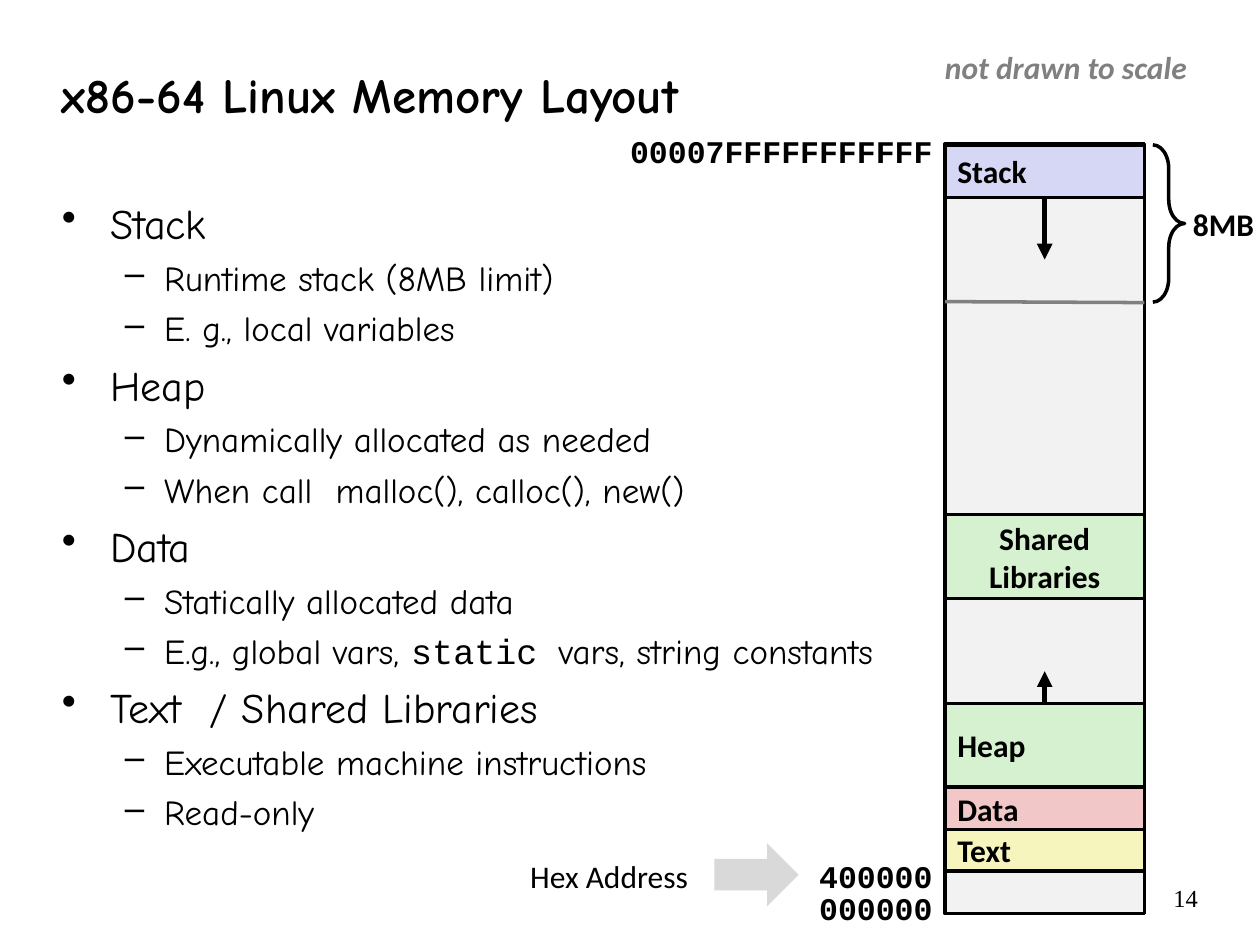
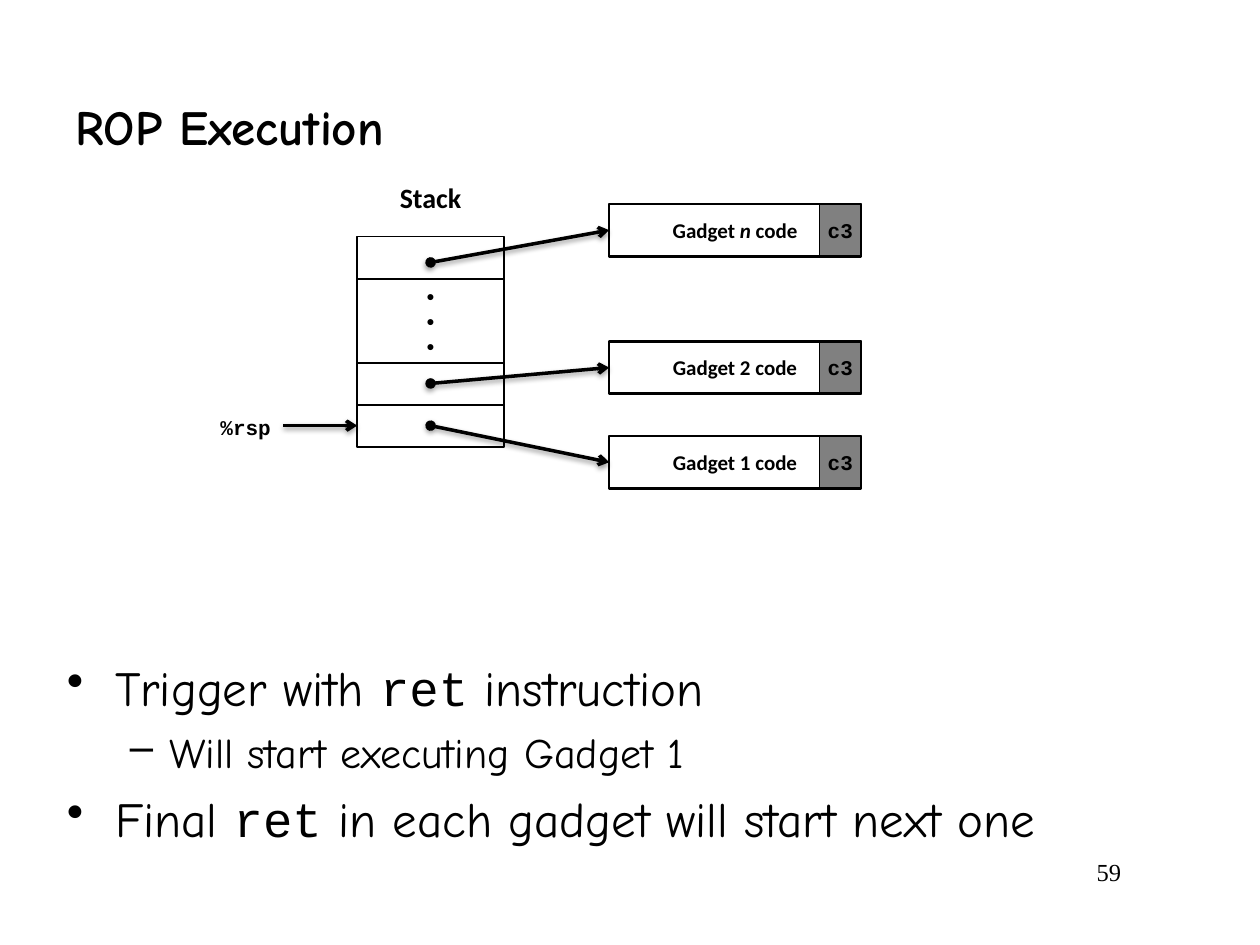
from lxml.etree import SubElement as Sub
from pptx import Presentation
from pptx.dml.color import RGBColor as Rgb
from pptx.enum.shapes import MSO_CONNECTOR as Link, MSO_SHAPE as Form
from pptx.enum.text import MSO_ANCHOR as Anchor, PP_ALIGN as Align
from pptx.oxml.ns import qn
from pptx.util import Cm, Pt

BLACK = Rgb(0x00, 0x00, 0x00)
GRAY = Rgb(0x80, 0x80, 0x80)
SILVER = Rgb(0xD9, 0xD9, 0xD9)
PALE = Rgb(0xF2, 0xF2, 0xF2)
LILAC = Rgb(0xD6, 0xD6, 0xF5)
GREEN = Rgb(0xD5, 0xF1, 0xCF)
PINK = Rgb(0xF1, 0xC7, 0xC7)
YELLOW = Rgb(0xF6, 0xF5, 0xBD)

HAND = "Comic Neue"
SANS = "Calibri"
MONO = "Courier New"
LEVELS = {"•": (0.97, 0.97), "–": (2.06, 0.79)}


def write(para, text, size=18, font=SANS, color=BLACK, bold=False,
          italic=False, align=Align.LEFT, code=None, slant=False):
    para.alignment = align
    for pos, part in enumerate(text.split("`")):
        if not part:
            continue
        mark = pos % 2 == 1
        run = para.add_run()
        run.text = part
        face = run.font
        face.name = code if mark and code else font
        face.size = Pt(size)
        face.bold = bold
        face.italic = italic or (mark and slant)
        face.color.rgb = color


def add_bullet(para, sign):
    left, hang = LEVELS[sign]
    props = para._p.get_or_add_pPr()
    props.set("marL", str(Cm(left)))
    props.set("indent", str(-Cm(hang)))
    Sub(props, qn("a:buChar")).set("char", sign)


class Deck:
    def __init__(self):
        self.prs = Presentation()
        self.prs.slide_width = Cm(25.4)
        self.prs.slide_height = Cm(19.05)
        self.slide = None

    def start(self, title, area, number, corner):
        self.slide = self.prs.slides.add_slide(self.prs.slide_layouts[6])
        self.text(title, *area, anchor=Anchor.MIDDLE, size=28, font=HAND,
                  bold=True)
        self.text(number, *corner, 3.6, 1.27, size=14,
                  font="Times New Roman", align=Align.RIGHT)

    def fill_frame(self, frame, text, anchor, wrap=True, **style):
        frame.word_wrap = wrap
        frame.vertical_anchor = anchor
        for pos, line in enumerate(text.split("\n")):
            para = frame.add_paragraph() if pos else frame.paragraphs[0]
            write(para, line, **style)

    def text(self, text, x, y, w, h, anchor=Anchor.TOP, **style):
        box = self.slide.shapes.add_textbox(Cm(x), Cm(y), Cm(w), Cm(h))
        self.fill_frame(box.text_frame, text, anchor, **style)

    def points(self, items, x, y, w, h, sizes):
        box = self.slide.shapes.add_textbox(Cm(x), Cm(y), Cm(w), Cm(h))
        frame = box.text_frame
        frame.word_wrap = True
        for pos, (sign, text) in enumerate(items):
            para = frame.add_paragraph() if pos else frame.paragraphs[0]
            size = sizes[sign]
            if pos:
                para.space_before = Pt(round(size * 0.24, 1))
            add_bullet(para, sign)
            write(para, text, size=size, font=HAND, code=MONO)

    def shape(self, x, y, w, h, form=Form.RECTANGLE, fill=None, width=2,
              text=None, side=0.25, **style):
        item = self.slide.shapes.add_shape(form, Cm(x), Cm(y), Cm(w), Cm(h))
        item.shadow.inherit = False
        if fill is None:
            item.fill.background()
        else:
            item.fill.solid()
            item.fill.fore_color.rgb = fill
        if width:
            item.line.color.rgb = BLACK
            item.line.width = Pt(width)
        else:
            item.line.fill.background()
        if text:
            frame = item.text_frame
            frame.margin_left = frame.margin_right = Cm(side)
            self.fill_frame(frame, text, Anchor.MIDDLE, **style)
        return item

    def line(self, x, y, end_x, end_y, width=2, color=BLACK, head=None,
             tail=None, shade=False):
        item = self.slide.shapes.add_connector(
            Link.STRAIGHT, Cm(x), Cm(y), Cm(end_x), Cm(end_y))
        item.line.color.rgb = color
        item.line.width = Pt(width)
        props = item._element.spPr
        for tag, kind in (("a:headEnd", head), ("a:tailEnd", tail)):
            if kind:
                Sub(props.find(qn("a:ln")), qn(tag)).set("type", kind)
        effect = Sub(props, qn("a:effectLst"))
        if shade:
            drop = Sub(effect, qn("a:outerShdw"), blurRad=str(Pt(3.1)),
                       dist=str(Pt(1.6)), dir="5400000", rotWithShape="0")
            tint = Sub(drop, qn("a:srgbClr"), val="000000")
            Sub(tint, qn("a:alpha"), val="38000")


def draw_memory(deck):
    deck.start("x86-64 Linux Memory Layout", (1, 0.85, 21.1, 2.1),
               "14", (20.8, 17.68))
    deck.points([
        ("•", "Stack"),
        ("–", "Runtime stack (8MB limit)"),
        ("–", "E. g., local variables"),
        ("•", "Heap"),
        ("–", "Dynamically allocated as needed"),
        ("–", "When call  malloc(), calloc(), new()"),
        ("•", "Data"),
        ("–", "Statically allocated data"),
        ("–", "E.g., global vars, `static `vars, string constants"),
        ("•", "Text  / Shared Libraries"),
        ("–", "Executable machine instructions"),
        ("–", "Read-only"),
    ], 1, 3.86, 23.06, 12.27, {"•": 24, "–": 20})

    left, wide = 19.05, 4.02
    mid = left + wide / 2
    deck.text("Hex Address", 8.2, 17.15, 5.92, 1.02, align=Align.RIGHT)
    for label, top, span in (("00007FFFFFFFFFFF", 2.54, 6.68),
                             ("400000", 17.15, 2.82),
                             ("000000", 17.8, 2.82)):
        deck.text(label, left - span, top, span, 1.02, wrap=False,
                  font=MONO, bold=True, align=Align.RIGHT)

    deck.shape(left, 2.9, wide, 15.52, fill=PALE)
    for name, top, high, fill, align in (
            ("Stack", 2.92, 1.06, LILAC, Align.LEFT),
            ("Shared\nLibraries", 10.37, 1.7, GREEN, Align.CENTER),
            ("Heap", 14.18, 1.69, GREEN, Align.LEFT),
            ("Data", 15.88, 0.84, PINK, Align.LEFT),
            ("Text", 16.72, 0.84, YELLOW, Align.LEFT)):
        deck.shape(left, top, wide, high, fill=fill, text=name, bold=True,
                   align=align)
    for tail, tip in ((3.97, 5.23), (14.18, 13.53)):
        deck.line(mid, tail, mid, tip, width=3, tail="triangle")
    deck.line(left, 6.08, left + wide, 6.1, color=GRAY)
    deck.shape(14.4, 17, 1.7, 1.27, Form.RIGHT_ARROW, fill=SILVER, width=0)

    brace = deck.shape(23.24, 2.92, 0.64, 3.17, Form.LEFT_BRACE)
    brace.rotation = 180
    brace.adjustments[0] = 0.75
    deck.text("8MB", 23.8, 4, 1.75, 1.02, wrap=False, bold=True)
    deck.text("not drawn to scale", 18.8, 0.84, 5.41, 1.02, wrap=False,
              color=GRAY, bold=True, italic=True)


def draw_rop(deck):
    deck.start("ROP Execution", (1.27, 1.27, 22.43, 2.54),
               "59", (19.25, 17.15))
    deck.points([
        ("•", "Trigger with `ret` instruction"),
        ("–", "Will start executing Gadget 1"),
        ("•", "Final `ret` in each gadget will start next one"),
    ], 1.1, 13.13, 21.95, 4.47, {"•": 28, "–": 24})

    left, wide, cell = 7.2, 2.96, 0.85
    style = dict(size=12, bold=True, align=Align.CENTER)
    top = 4.77
    for rows, dots in ((1, None), (2, "•\n•\n•"), (1, None), (1, None)):
        deck.shape(left, top, wide, rows * cell, width=1, text=dots,
                   font="Arial", **style)
        top += rows * cell

    code, span, high, end = 12.28, 5.08, 1.06, 0.84
    for name, top, dot in (("Gadget `n` code", 4.11, 5.29),
                           ("Gadget 2 code", 6.88, 7.73),
                           ("Gadget 1 code", 8.79, 8.58)):
        deck.shape(code + span - end, top, end, high, fill=GRAY, width=1,
                   text="c3", side=0, font=MONO, **style)
        deck.shape(code, top, span, high, width=1.5, text=name, slant=True,
                   **style)
        deck.line(left + wide / 2, dot, code, top + high / 2, head="oval",
                  tail="arrow", shade=True)

    deck.line(5.71, 8.58, left, 8.58, tail="arrow", shade=True)
    deck.text("Stack", left, 3.51, wide, 0.94, size=16, bold=True,
              align=Align.CENTER)
    deck.text("%rsp", 2.75, 8.2, 2.96, 0.84, anchor=Anchor.MIDDLE, size=12,
              font=MONO, bold=True, align=Align.RIGHT)


def main():
    deck = Deck()
    draw_memory(deck)
    draw_rop(deck)
    deck.prs.save("out.pptx")


if __name__ == "__main__":
    main()
